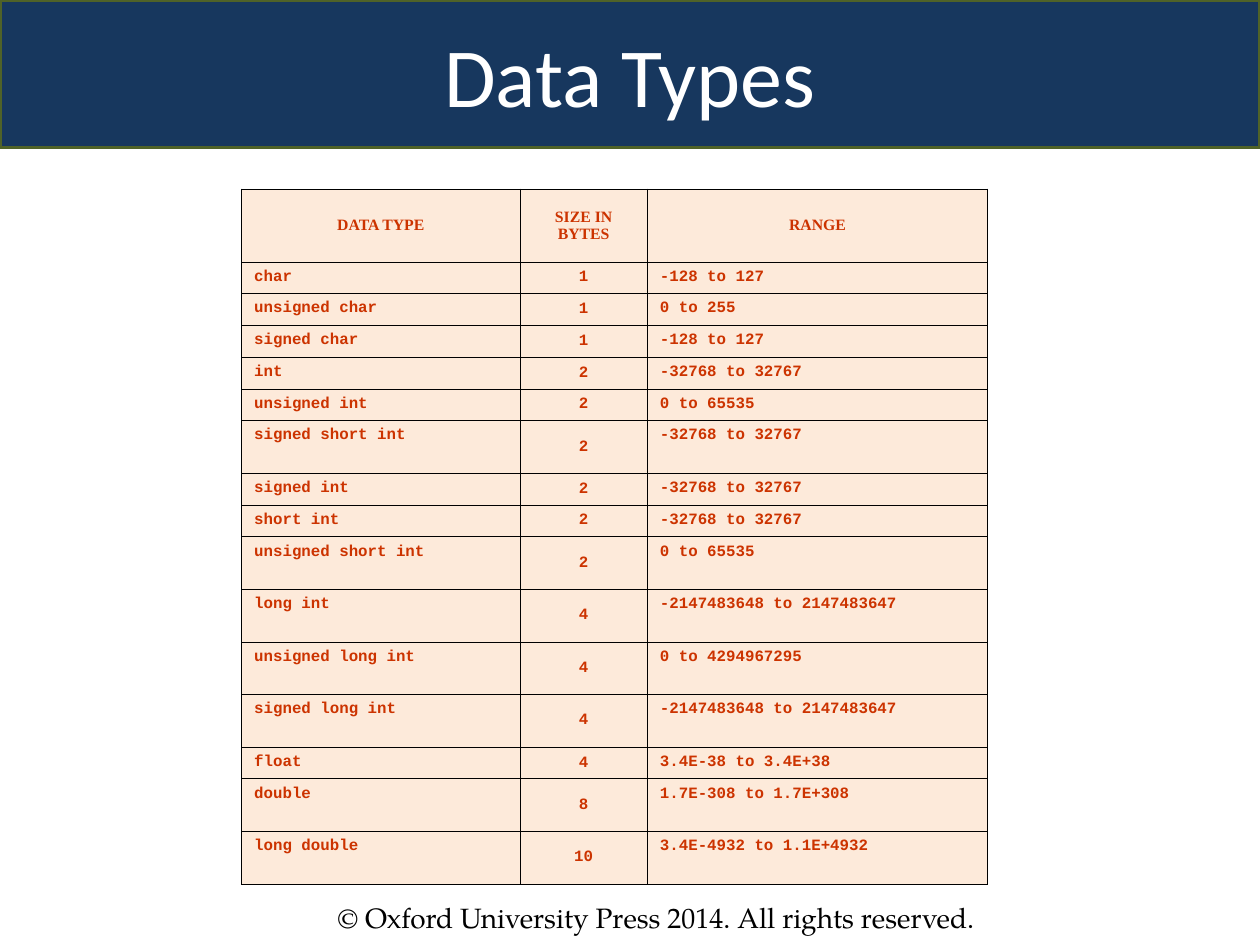
from lxml import etree
from pptx import Presentation, util as u
from pptx.dml.color import RGBColor
from pptx.enum import text
from pptx.oxml.ns import qn

COLORS = {"navy": "17375E", "olive": "4F6228", "cream": "FDEADA",
          "rust": "CC3300", "black": "000000", "white": "FFFFFF"}

TITLE = "Data Types"
FOOTER = "© Oxford University Press 2014. All rights reserved."
HEADINGS = ("DATA TYPE", "SIZE IN BYTES", "RANGE")
TYPES = [
    ("char", "1", "-128 to 127"),
    ("unsigned char", "1", "0 to 255"),
    ("signed char", "1", "-128 to 127"),
    ("int", "2", "-32768 to 32767"),
    ("unsigned int", "2", "0 to 65535"),
    ("signed short int", "2", "-32768 to 32767"),
    ("signed int", "2", "-32768 to 32767"),
    ("short int", "2", "-32768 to 32767"),
    ("unsigned short int", "2", "0 to 65535"),
    ("long int", "4", "-2147483648 to 2147483647"),
    ("unsigned long int", "4", "0 to 4294967295"),
    ("signed long int", "4", "-2147483648 to 2147483647"),
    ("float", "4", "3.4E-38 to 3.4E+38"),
    ("double", "8", "1.7E-308 to 1.7E+308"),
    ("long double", "10", "3.4E-4932 to 1.1E+4932"),
]
TALL_TYPES = {"signed short int", "unsigned short int", "long int",
              "unsigned long int", "signed long int", "double", "long double"}
COLUMN_WIDTHS = (5.61, 2.57, 6.86)
HEADING_HEIGHT, SHORT_HEIGHT, TALL_HEIGHT = 1.47, 0.64, 1.06


def rgb(name):
    return RGBColor.from_string(COLORS[name])


def write(frame, words, font, size, color, bold=False, centered=False):
    para = frame.paragraphs[0]
    para.alignment = text.PP_ALIGN.CENTER if centered else text.PP_ALIGN.LEFT
    span = para.add_run()
    span.text = words
    span.font.name = font
    span.font.size = u.Pt(size)
    span.font.bold = bold
    span.font.color.rgb = rgb(color)


def outline(cell, color, width):
    properties = cell._tc.get_or_add_tcPr()
    for side in ("a:lnL", "a:lnR", "a:lnT", "a:lnB"):
        line = etree.SubElement(properties, qn(side), w=str(u.Pt(width)))
        fill = etree.SubElement(line, qn("a:solidFill"))
        etree.SubElement(fill, qn("a:srgbClr"), val=COLORS[color])


def add_title(page):
    title = page.shapes.title
    title.left, title.top = u.Cm(0), u.Cm(0)
    title.width, title.height = u.Cm(25.4), u.Cm(2.97)
    title.fill.solid()
    title.fill.fore_color.rgb = rgb("navy")
    title.line.color.rgb = rgb("olive")
    title.line.width = u.Pt(2)
    frame = title.text_frame
    frame.auto_size = text.MSO_AUTO_SIZE.NONE
    frame.vertical_anchor = text.MSO_ANCHOR.MIDDLE
    write(frame, TITLE, "Calibri", 48, "white", centered=True)


def add_types_table(page):
    rows = [HEADINGS] + TYPES
    heights = [HEADING_HEIGHT] + [
        TALL_HEIGHT if name in TALL_TYPES else SHORT_HEIGHT for name, *_ in TYPES]
    table = page.shapes.add_table(
        len(rows), len(HEADINGS), u.Cm(4.87), u.Cm(3.81),
        u.Cm(sum(COLUMN_WIDTHS)), u.Cm(sum(heights))).table
    table.first_row = table.horz_banding = False
    for column, width in zip(table.columns, COLUMN_WIDTHS):
        column.width = u.Cm(width)
    for row_index, (row, height) in enumerate(zip(rows, heights)):
        table.rows[row_index].height = u.Cm(height)
        heading = row_index == 0
        for column_index, words in enumerate(row):
            cell = table.cell(row_index, column_index)
            centered = heading or column_index == 1
            outline(cell, "black", 0.45)
            cell.fill.solid()
            cell.fill.fore_color.rgb = rgb("cream")
            cell.vertical_anchor = text.MSO_ANCHOR.MIDDLE if centered else text.MSO_ANCHOR.TOP
            write(cell.text_frame, words, "Times New Roman" if heading else "Courier New",
                  9, "rust", bold=True, centered=centered)


def add_footer(page):
    box = page.shapes.add_textbox(u.Cm(6.55), u.Cm(18.03), u.Cm(15.04), u.Cm(0.94))
    box.text_frame.word_wrap = True
    write(box.text_frame, FOOTER, "TeX Gyre Pagella", 16, "black")


def main():
    deck = Presentation()
    deck.slide_width, deck.slide_height = u.Cm(25.4), u.Cm(19.05)
    page = deck.slides.add_slide(deck.slide_layouts.get_by_name("Title Only"))
    add_footer(page)
    add_title(page)
    add_types_table(page)
    deck.save("out.pptx")


if __name__ == "__main__":
    main()
